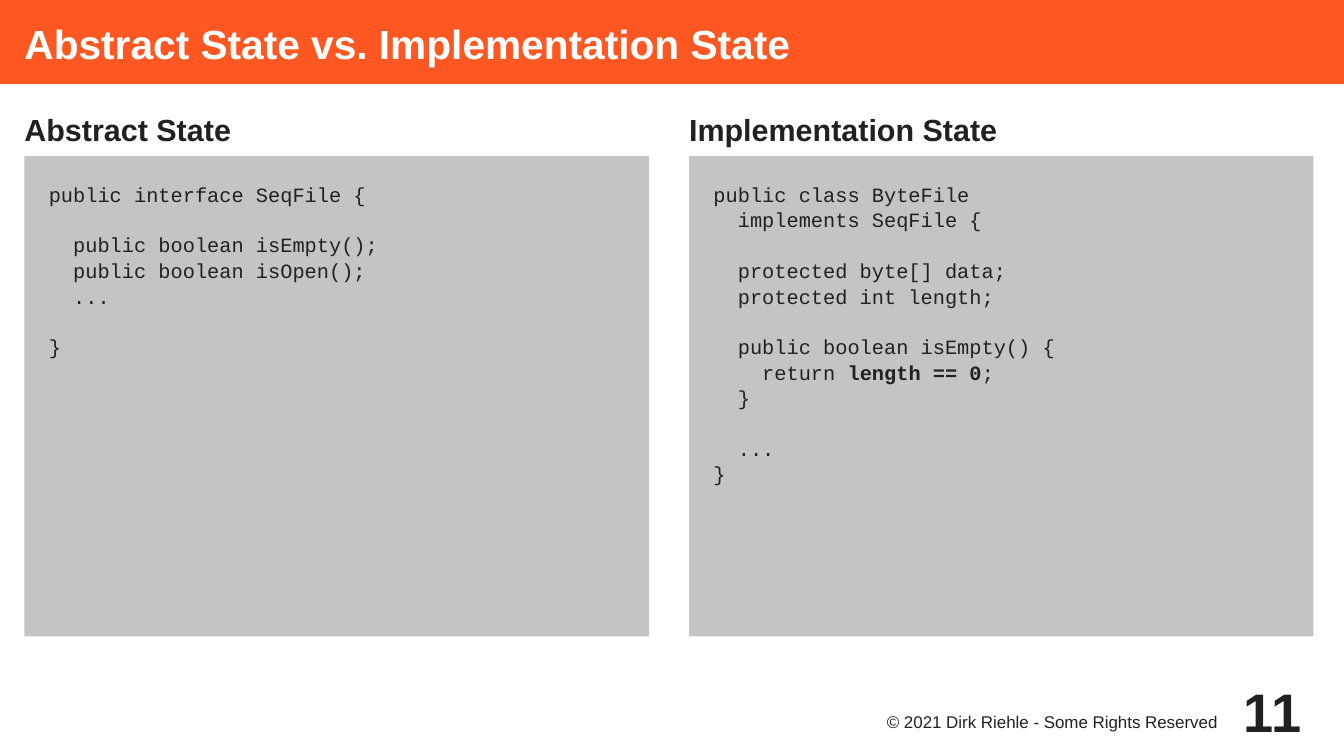
from pptx import Presentation
from pptx.dml.color import RGBColor
from pptx.enum import shapes, text
from pptx.util import Inches, Pt

COLORS = {"banner": "FF5722", "panel": "C4C4C4", "ink": "212121", "white": "FFFFFF"}

TITLE = "Abstract State vs. Implementation State"
FOOTER = "© 2021 Dirk Riehle - Some Rights Reserved"
PAGE_NUMBER = "11"
# Heading, code, and the part of the code set in bold
COLUMNS = [
    ("Abstract State", """\
public interface SeqFile {

  public boolean isEmpty();
  public boolean isOpen();
  ...

}""", None),
    ("Implementation State", """\
public class ByteFile
  implements SeqFile {

  protected byte[] data;
  protected int length;

  public boolean isEmpty() {
    return length == 0;
  }

  ...
}""", "length == 0"),
]

SLIDE_W, SLIDE_H = 11.02, 6.2
MARGIN = 0.2
COLUMN_STEP = 5.45
PANEL_W, PANEL_H = 5.12, 3.94
HEADING_TOP, PANEL_TOP = 0.89, 1.28
LINE_SPACING = 1.06
CODE_LINE = Pt(14.4)


def rgb(name):
    return RGBColor.from_string(COLORS[name])


def fill(sp, color):
    sp.fill.solid()
    sp.fill.fore_color.rgb = rgb(color)
    sp.line.fill.background()


def set_frame(sp, left=0, top=0, right=0, anchor=text.MSO_ANCHOR.TOP):
    """Set the insets and anchor of a shape's text and return its frame."""
    tf = sp.text_frame
    tf.word_wrap = True
    tf.auto_size = text.MSO_AUTO_SIZE.NONE
    tf.margin_left, tf.margin_top = Inches(left), Inches(top)
    tf.margin_right, tf.margin_bottom = Inches(right), 0
    tf.vertical_anchor = anchor
    return tf


def style(p, size, color="ink", bold=False, font="Arial", align=text.PP_ALIGN.LEFT):
    p.alignment = align
    p.line_spacing = LINE_SPACING
    p.font.name, p.font.size, p.font.bold = font, Pt(size), bold
    p.font.color.rgb = rgb(color)


def add_label(slide, box, words, size, bold=False, align=text.PP_ALIGN.LEFT, **frame):
    sp = slide.shapes.add_textbox(*map(Inches, box))
    p = set_frame(sp, **frame).paragraphs[0]
    p.text = words
    style(p, size, bold=bold, align=align)


def add_code(tf, code, strong):
    """Write one paragraph per code line; an empty line becomes space before."""
    p, gap = tf.paragraphs[0], 0
    for i, line in enumerate(code.splitlines()):
        if not line:
            gap += 1
            continue
        if i:
            p = tf.add_paragraph()
        style(p, 12, font="Courier New")
        p.space_before = CODE_LINE * gap
        gap = 0
        before, found, after = line.partition(strong) if strong else (line, "", "")
        for part in filter(None, (before, found, after)):
            r = p.add_run()
            r.text = part
            if part == strong:
                r.font.bold = True


def add_column(slide, left, heading, code, strong):
    add_label(slide, (left, HEADING_TOP, PANEL_W, PANEL_TOP - HEADING_TOP),
              heading, 18, bold=True)
    panel = slide.shapes.add_shape(
        shapes.MSO_SHAPE.RECTANGLE,
        *map(Inches, (left, PANEL_TOP, PANEL_W, PANEL_H)))
    panel.shadow.inherit = False
    fill(panel, "panel")
    add_code(set_frame(panel, left=0.2, top=0.2), code, strong)


def main():
    prs = Presentation()
    prs.slide_width, prs.slide_height = Inches(SLIDE_W), Inches(SLIDE_H)
    slide = prs.slides.add_slide(prs.slide_layouts[5])

    title = slide.shapes.title
    title.left, title.top = 0, 0
    title.width, title.height = Inches(SLIDE_W), Inches(0.69)
    fill(title, "banner")
    p = set_frame(title, left=MARGIN, anchor=text.MSO_ANCHOR.MIDDLE).paragraphs[0]
    p.text = TITLE
    style(p, 24, color="white", bold=True)

    for i, column in enumerate(COLUMNS):
        add_column(slide, MARGIN + i * COLUMN_STEP, *column)

    add_label(slide, (7.09, 5.81, 3.15, 0.3), FOOTER, 10,
              align=text.PP_ALIGN.RIGHT, top=0.02, right=0.26)
    add_label(slide, (10.04, 5.52, 0.79, 0.59), PAGE_NUMBER, 32, bold=True,
              align=text.PP_ALIGN.RIGHT, right=0.16, anchor=text.MSO_ANCHOR.MIDDLE)

    prs.save("out.pptx")


if __name__ == "__main__":
    main()
